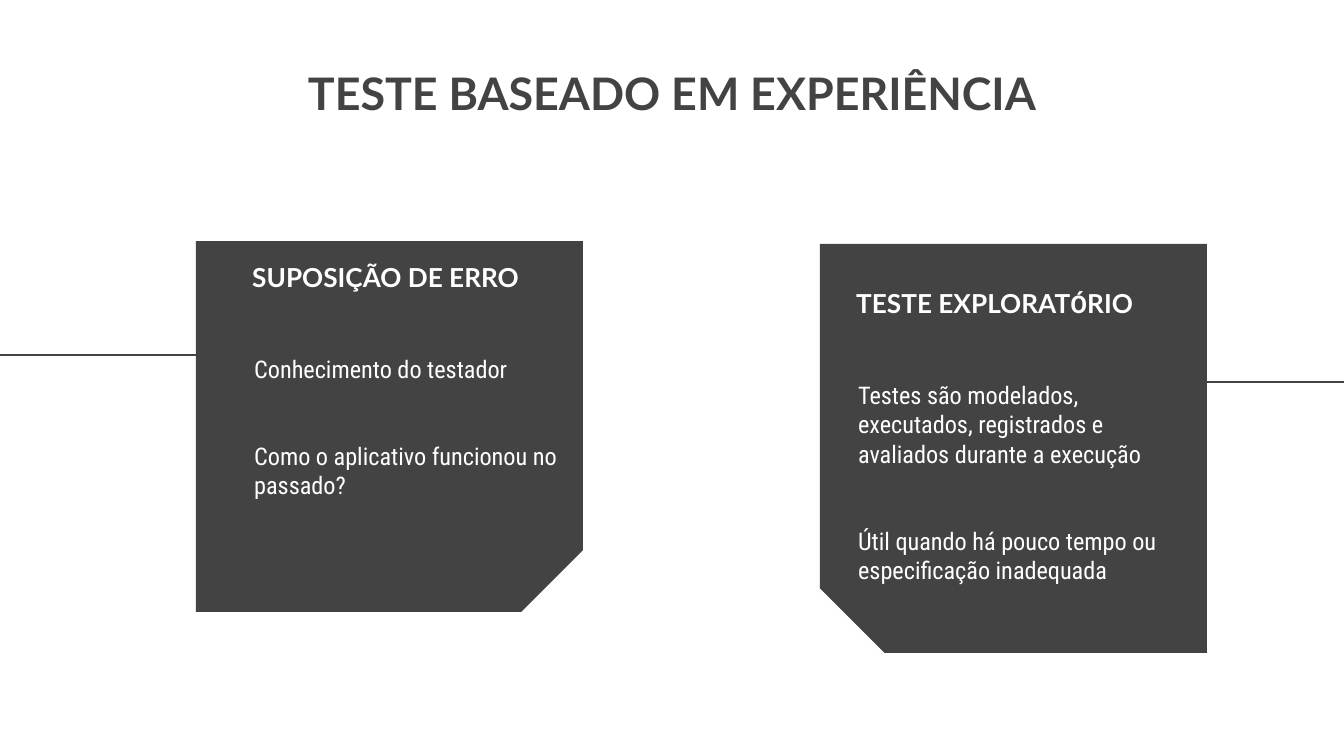
from lxml import etree
from pptx import Presentation
from pptx.dml.color import RGBColor
from pptx.enum.shapes import MSO_CONNECTOR as CONN, MSO_SHAPE as SHAPE
from pptx.enum.text import MSO_ANCHOR as ANCHOR, PP_ALIGN as ALIGN
from pptx.oxml.ns import qn
from pptx.util import Pt

PX = 914400 / 134.4
COLORS = {"dark": "434343", "white": "FFFFFF"}
HEAD, BODY = ("Lato", 14, True), ("Roboto Condensed", 13, False)

TITLE = "TESTE BASEADO EM EXPERIÊNCIA"
CARDS = [
    {
        "box": (196, 241, 387, 371), "rotation": 90, "flip": False,
        "line": (0, 359, 355),
        "heading_at": (239, 243),
        "heading": [("SUPOSIÇÃO DE ERRO", HEAD)],
        "body_height": 365,
        "body": ["Conhecimento do testador",
                 "Como o aplicativo funcionou no passado?"],
    },
    {
        "box": (820, 244, 387, 409), "rotation": 270, "flip": True,
        "line": (1344, 985, 382),
        "heading_at": (843, 269),
        "heading": [("TESTE EXPLORAT", HEAD), ("Ó", ("Roboto", 13, True)),
                    ("RIO", HEAD)],
        "body_height": 206,
        "body": ["Testes são modelados, executados, registrados e "
                 "avaliados durante a execução",
                 "Útil quando há pouco tempo ou especificação inadequada"],
    },
]


def px(*values):
    return [round(v * PX) for v in values]


def color(name):
    return RGBColor.from_string(COLORS[name])


def add_text(s, box, paragraphs, ink, anchor=ANCHOR.TOP, align=ALIGN.LEFT, gap=0):
    tf = s.shapes.add_textbox(*px(*box)).text_frame
    tf.word_wrap = True
    tf.vertical_anchor = anchor
    tf.margin_left = tf.margin_right = tf.margin_top = tf.margin_bottom = Pt(7.2)
    for i, runs in enumerate(paragraphs):
        p = tf.add_paragraph() if i else tf.paragraphs[0]
        p.alignment = align
        if i:
            p.space_before = Pt(gap)
        for text, (font, size, bold) in runs:
            r = p.add_run()
            r.text = text
            r.font.name, r.font.size, r.font.bold = font, Pt(size), bold
            r.font.color.rgb = color(ink)


def add_card(s, card):
    x, y, w, h = card["box"]
    left, top = x + (w - h) / 2, y + (h - w) / 2
    sp = s.shapes.add_shape(SHAPE.SNIP_1_RECTANGLE, *px(left, top, h, w))
    sp.adjustments[0] = 0.167
    sp.rotation = card["rotation"]
    if card["flip"]:
        sp._element.spPr.find(qn("a:xfrm")).set("flipH", "1")
    sp.shadow.inherit = False
    sp.fill.solid()
    sp.fill.fore_color.rgb = color("dark")
    sp.line.fill.background()

    start, end, level = card["line"]
    line = s.shapes.add_connector(CONN.STRAIGHT, *px(start, level, end, level))
    line.line.color.rgb = color("dark")
    line.line.width = Pt(0.75)
    etree.SubElement(line._element.spPr, qn("a:effectLst"))

    hx, hy = card["heading_at"]
    add_text(s, (hx, hy, 344, 63), [card["heading"]], "white", ANCHOR.BOTTOM)
    add_text(s, (hx + 2, hy + 98, 341, card["body_height"]),
             [[(text, BODY)] for text in card["body"]], "white", gap=31)


prs = Presentation()
prs.slide_width, prs.slide_height = px(1344, 756)
s = prs.slides.add_slide(prs.slide_layouts[6])
add_text(s, (289, 52, 766, 138), [[(TITLE, ("Lato", 24, True))]], "dark",
         align=ALIGN.CENTER)
for card in CARDS:
    add_card(s, card)
prs.save("out.pptx")
